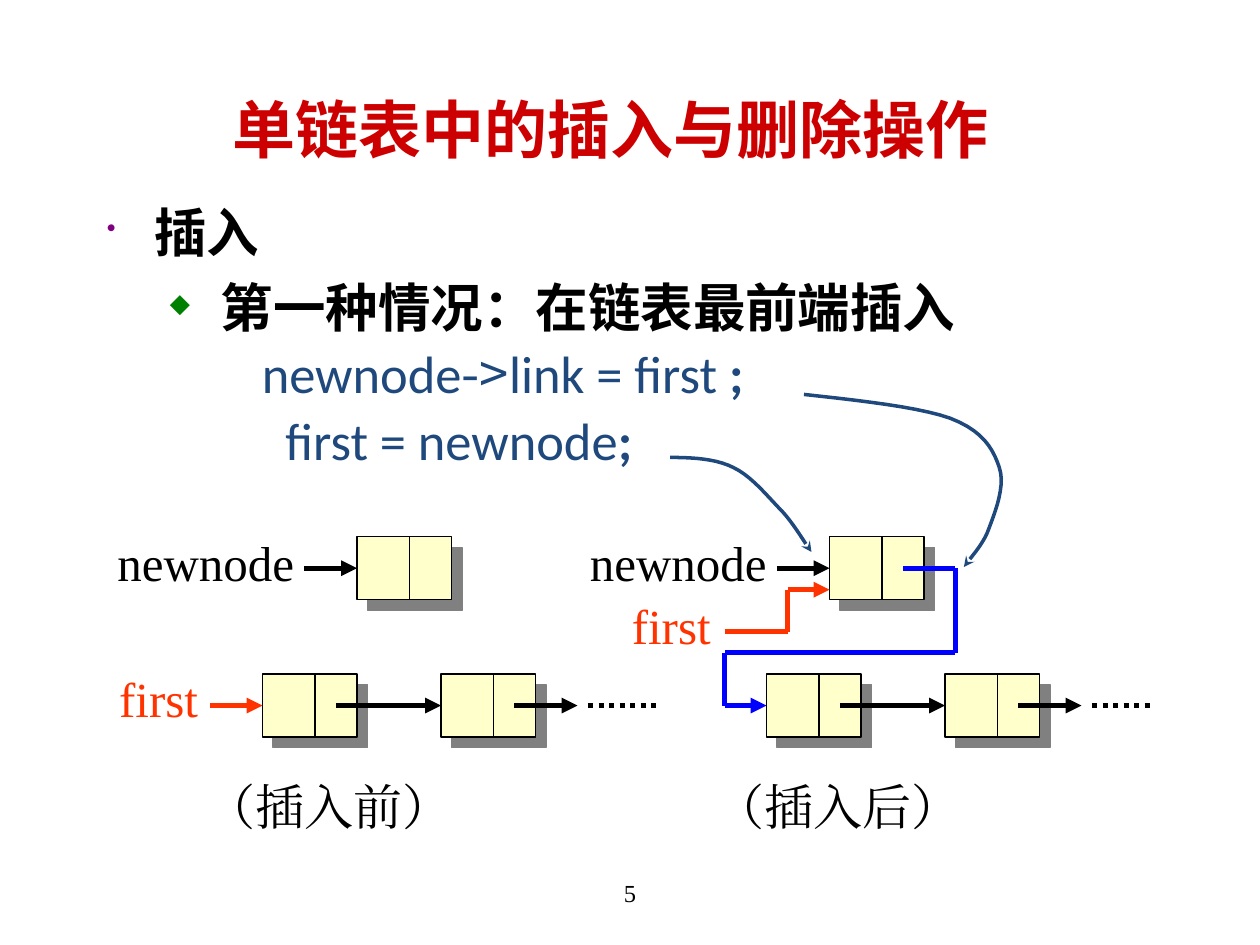
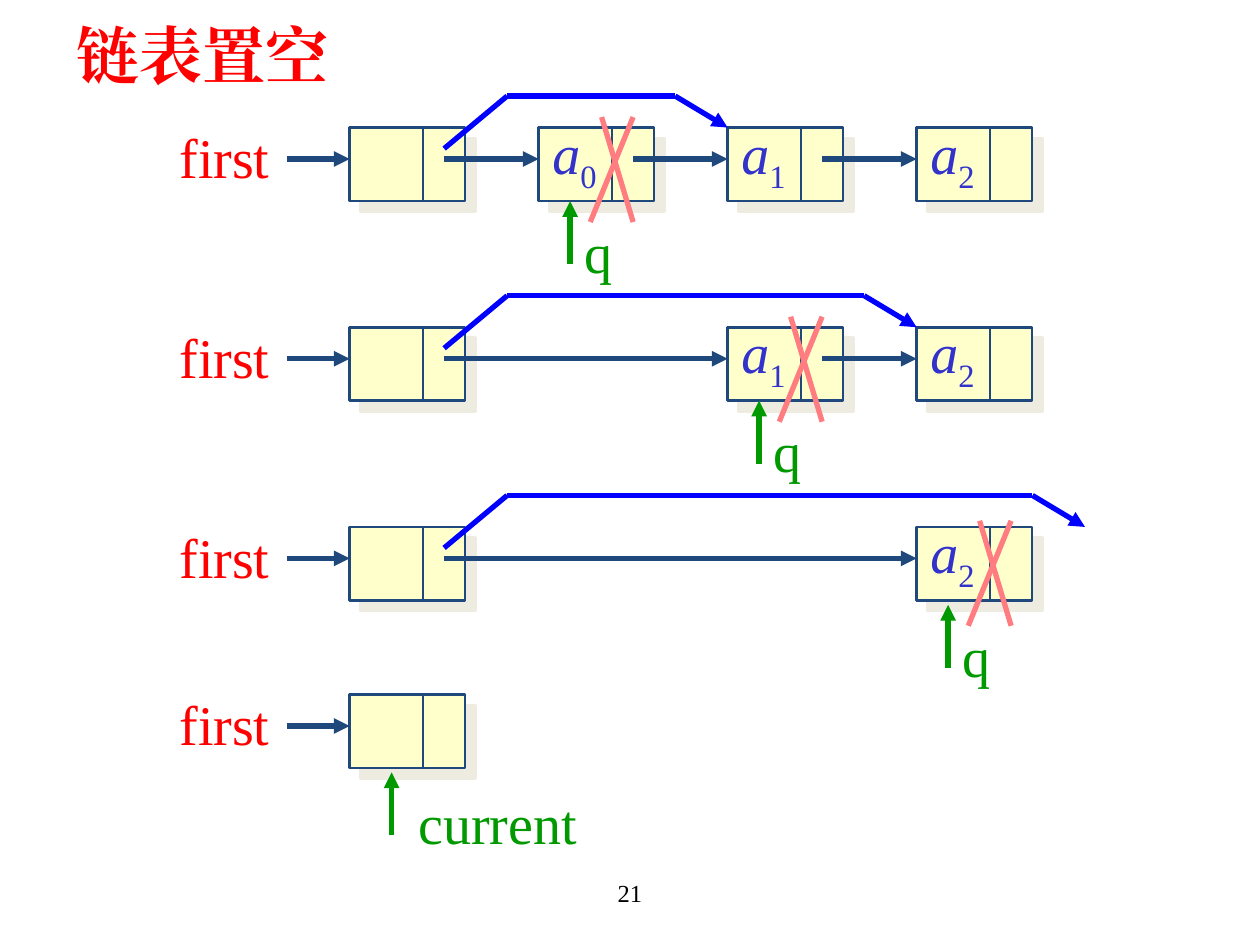
from dataclasses import dataclass

from lxml import etree
from pptx import Presentation
from pptx.dml.color import RGBColor
from pptx.enum.dml import MSO_LINE
from pptx.enum.shapes import MSO_CONNECTOR, MSO_SHAPE
from pptx.enum.text import MSO_ANCHOR, PP_ALIGN
from pptx.oxml.ns import qn
from pptx.util import Pt

STRAIGHT = MSO_CONNECTOR.STRAIGHT
RECTANGLE = MSO_SHAPE.RECTANGLE
ROUND_DOT = MSO_LINE.ROUND_DOT
TOP, MIDDLE = MSO_ANCHOR.TOP, MSO_ANCHOR.MIDDLE
LEFT, CENTER = PP_ALIGN.LEFT, PP_ALIGN.CENTER


@dataclass(frozen=True)
class Theme:
    # Colours
    black: str = "000000"
    title: str = "CC0000"
    red: str = "FF0000"
    orange: str = "FF3300"
    blue: str = "0000FF"
    navy: str = "1F497D"
    green: str = "009900"
    value: str = "3333CC"
    cross: str = "FF7C80"
    node: str = "FFFFCC"
    gray_shadow: str = "808080"
    pale_shadow: str = "EEECE1"
    bullet: str = "800080"
    sub_bullet: str = "008000"
    # Fonts and sizes
    sans: str = "Calibri"
    serif: str = "Times New Roman"
    chinese: str = "Noto Sans CJK SC"
    title_size: float = 36
    body_size: float = 30
    label_size: float = 28
    value_size: float = 32
    number_size: float = 14
    # Strokes
    arrow_width: float = 3
    curve_width: float = 2


THEME = Theme()


@dataclass(frozen=True)
class NodeStyle:
    width: float
    height: float
    divider: float
    line: str
    line_width: float
    shadow: str


SMALL_NODE = NodeStyle(54, 36, 30, THEME.black, 0.75, THEME.gray_shadow)
LARGE_NODE = NodeStyle(66, 42, 42, THEME.navy, 1.5, THEME.pale_shadow)


# ---- Text ----

def add_xml(parent, tag, **attributes):
    return etree.SubElement(parent, qn(tag), attributes)


def style_paragraph(paragraph, size, color, font=THEME.serif, bold=False):
    paragraph.font.size = Pt(size)
    paragraph.font.bold = bold
    paragraph.font.color.rgb = RGBColor.from_string(color)
    paragraph.font.name = font
    defaults = paragraph._p.pPr.find(qn("a:defRPr"))
    add_xml(defaults, "a:ea", typeface=font)


def add_text(slide, text, box, size, color, font=THEME.serif, bold=False,
             align=LEFT, anchor=TOP, wrap=False):
    shape = slide.shapes.add_textbox(*map(Pt, box))
    frame = shape.text_frame
    frame.word_wrap = wrap
    frame.vertical_anchor = anchor
    paragraph = frame.paragraphs[0]
    paragraph.alignment = align
    style_paragraph(paragraph, size, color, font, bold)
    if text:
        paragraph.add_run().text = text
    return paragraph


def add_page_number(slide, number):
    add_text(slide, number, (246, 492, 228, 36), THEME.number_size,
             THEME.black, align=CENTER, anchor=MIDDLE)


def add_label(slide, text, box, color):
    return add_text(slide, text, box, THEME.value_size, color,
                    align=CENTER, anchor=MIDDLE)


def set_indent(paragraph, margin, first=0):
    properties = paragraph._p.get_or_add_pPr()
    properties.set("marL", str(Pt(margin)))
    properties.set("indent", str(Pt(first)))


def set_bullet(paragraph, character, color):
    defaults = paragraph._p.pPr.find(qn("a:defRPr"))
    bullet_color = etree.Element(qn("a:buClr"))
    add_xml(bullet_color, "a:srgbClr", val=color)
    defaults.addprevious(bullet_color)
    for tag, value in (("a:buSzPct", {"val": "50000"}),
                       ("a:buChar", {"char": character})):
        defaults.addprevious(etree.Element(qn(tag), value))


# ---- Lines ----

def set_arrowhead(shape, kind):
    add_xml(shape.element.spPr.find(qn("a:ln")), "a:tailEnd", type=kind)


def add_line(slide, start, end, color, width=THEME.arrow_width, arrow=False,
             dotted=False):
    line = slide.shapes.add_connector(STRAIGHT, *map(Pt, (*start, *end)))
    line.line.color.rgb = RGBColor.from_string(color)
    line.line.width = Pt(width)
    if dotted:
        line.line.dash_style = ROUND_DOT
    if arrow:
        set_arrowhead(line, "triangle")
    add_xml(line.element.spPr, "a:effectLst")


def add_route(slide, points, color):
    """Join the points with lines; the last one carries an arrowhead."""
    last = len(points) - 2
    for index, (start, end) in enumerate(zip(points, points[1:])):
        add_line(slide, start, end, color, arrow=index == last)


def curve_points(start, curves, steps=10):
    points = [start]
    for control_1, control_2, end in curves:
        start = points[-1]
        for step in range(1, steps + 1):
            t = step / steps
            weights = ((1 - t) ** 3, 3 * t * (1 - t) ** 2,
                       3 * t * t * (1 - t), t ** 3)
            corners = (start, control_1, control_2, end)
            points.append(tuple(
                sum(weight * corner[axis]
                    for weight, corner in zip(weights, corners))
                for axis in (0, 1)))
    return points


def add_curve(slide, start, curves):
    points = [(Pt(x), Pt(y)) for x, y in curve_points(start, curves)]
    builder = slide.shapes.build_freeform(*points[0])
    builder.add_line_segments(points[1:], close=False)
    shape = builder.convert_to_shape()
    shape.shadow.inherit = False
    shape.fill.background()
    shape.line.color.rgb = RGBColor.from_string(THEME.navy)
    shape.line.width = Pt(THEME.curve_width)
    set_arrowhead(shape, "stealth")


# ---- List nodes ----

def add_node(slide, x, y, style):
    shape = slide.shapes.add_shape(
        RECTANGLE, *map(Pt, (x, y, style.width, style.height)))
    shape.fill.solid()
    shape.fill.fore_color.rgb = RGBColor.from_string(THEME.node)
    shape.line.color.rgb = RGBColor.from_string(style.line)
    shape.line.width = Pt(style.line_width)
    shape.shadow.inherit = False
    shadow = add_xml(shape.element.spPr.find(qn("a:effectLst")),
                     "a:outerShdw", dist=str(Pt(8.5)), dir="2700000",
                     algn="ctr", rotWithShape="0")
    add_xml(shadow, "a:srgbClr", val=style.shadow)
    middle = x + style.divider
    add_line(slide, (middle, y), (middle, y + style.height), style.line,
             style.line_width)


def add_new_node(slide, x):
    y = 306.7
    add_node(slide, x, y, SMALL_NODE)
    add_line(slide, (x - 30, y + 18), (x, y + 18), THEME.black, arrow=True)
    add_text(slide, "newnode", (x - 144, y - 6, 120, 41), THEME.label_size,
             THEME.black)


def add_chain(slide, x, dots_end):
    y = 385.2
    middle = y + 18
    for node_x, link_end in ((x, x + 102), (x + 102, x + 180)):
        add_node(slide, node_x, y, SMALL_NODE)
        add_line(slide, (node_x + 42, middle), (link_end, middle),
                 THEME.black, arrow=True)
    add_line(slide, (x + 186, middle), (dots_end, middle), THEME.black,
             dotted=True)


def add_value_node(slide, x, y, index):
    add_node(slide, x, y, LARGE_NODE)
    paragraph = add_label(slide, "", (x, y - 6, 41, 45), THEME.value)
    letter, subscript = paragraph.add_run(), paragraph.add_run()
    letter.text, subscript.text = "a", str(index)
    letter.font.italic = True
    subscript._r.get_or_add_rPr().set("baseline", "-25000")


def add_head(slide, x, y):
    add_node(slide, x, y, LARGE_NODE)
    add_line(slide, (x - 36, y + 18), (x, y + 18), THEME.navy, arrow=True)
    add_label(slide, "first", (x - 107, y - 6, 71, 45), THEME.red)


def add_pointer(slide, x, y):
    """Green arrow pointing up to (x, y)."""
    add_line(slide, (x, y + 36), (x, y), THEME.green, arrow=True)


def add_removal(slide, x, y, gap):
    add_pointer(slide, x + 18, y + 42 + gap)
    add_label(slide, "q", (x + 18, y + 48 + gap, 32, 45), THEME.green)
    for top, bottom in ((54, 29.5), (36, 54)):
        add_line(slide, (x + top, y - 6 + gap), (x + bottom, y + 54 + gap),
                 THEME.cross)


# ---- Slides ----

def add_insertion_text(slide):
    first = add_text(slide, "", (54, 110.2, 636, 185), THEME.body_size,
                     THEME.black, THEME.sans, True, wrap=True)
    frame = slide.shapes[-1].text_frame
    sans, chinese = THEME.sans, THEME.chinese
    # Runs (text, font, bold), colour, margin, first indent, space, bullet
    rows = (
        ([("插入", sans, True)], THEME.black, 27, -27, 0,
         ("•", THEME.bullet)),
        ([("第一种情况：在链表最前端插入", sans, True)], THEME.black, 65, -29, 6,
         ("◆", THEME.sub_bullet)),
        ([("newnode", sans, False), ("->", chinese, False),
          ("link = first ", sans, False), (";", sans, True)],
         THEME.navy, 88.5, 0, 1.5, None),
        ([("first = newnode", sans, False), (";", sans, True)],
         THEME.navy, 102, 0, 1.5, None),
    )
    for index, (runs, color, margin, indent, space, bullet) in enumerate(rows):
        paragraph = first
        if index:
            paragraph = frame.add_paragraph()
            style_paragraph(paragraph, THEME.body_size, color, sans,
                            runs[0][2])
        set_indent(paragraph, margin, indent)
        paragraph.line_spacing = Pt(36.6)
        paragraph.space_before = Pt(space)
        if bullet:
            set_bullet(paragraph, *bullet)
        for text, font, bold in runs:
            run = paragraph.add_run()
            run.text = text
            if font != sans:
                run.font.name = font
            if bold != runs[0][2]:
                run.font.bold = bold


def build_insertion_slide(slide):
    add_text(slide, "单链表中的插入与删除操作", (77, 38, 544, 71),
             THEME.title_size, THEME.title, THEME.sans, True, CENTER, MIDDLE,
             wrap=True)
    add_insertion_text(slide)
    add_page_number(slide, "5")
    for text, x in (("（插入前）", 111), ("（插入后）", 402)):
        add_text(slide, text, (x, 440, 160, 41), THEME.label_size, THEME.black)

    # Before and after
    for new_x, chain_x, dots_end in ((204, 150, 378), (474, 438, 660)):
        add_new_node(slide, new_x)
        add_chain(slide, chain_x, dots_end)
    for x, y in ((61, 378.7), (354, 337)):
        add_text(slide, "first", (x, y, 65, 41), THEME.label_size,
                 THEME.orange)

    # Links to and from the new node
    add_line(slide, (120, 403.2), (150, 403.2), THEME.orange, arrow=True)
    add_route(slide, [(414, 361), (450, 361), (450, 337), (474, 337)],
              THEME.orange)
    add_route(slide, [(516, 324.7), (546, 324.7), (546, 373), (414, 373),
                      (414, 403.2), (438, 403.2)], THEME.blue)

    # Curves from the statements to the links
    add_curve(slide, (459.4, 225.4), [
        ((491.8, 229), (524.9, 232.6), (542.9, 239)),
        ((561.6, 246.2), (567.4, 256.3), (571, 267.1)),
        ((574.6, 277.2), (568.8, 292.3), (565.2, 301.7)),
        ((562.3, 311), (553, 320.4), (550.8, 324))])
    add_curve(slide, (383, 261.4), [
        ((396, 261.4), (409, 262.1), (419, 267.1)),
        ((429.8, 272.2), (439.2, 284.4), (447.1, 292.3)),
        ((454.3, 300.2), (460.8, 311.8), (463.7, 315.4))])


def build_clearing_slide(slide):
    add_text(slide, "链表置空", (36.7, 5.8, 223, 51), THEME.title_size,
             THEME.red, bold=True, wrap=True)
    add_page_number(slide, "21")
    head_x, pitch, top, row_pitch = 199.8, 108, 72.9, 114.1
    columns = [head_x + pitch * (index + 1) for index in range(3)]
    bypass_ends = (columns[1], columns[2], 620)

    # Each row removes the first remaining node
    for row, bypass_end in enumerate(bypass_ends):
        y = top + row * row_pitch
        add_head(slide, head_x, y)
        previous = head_x
        for index in range(row, 3):
            add_value_node(slide, columns[index], y, index)
            add_line(slide, (previous + 54, y + 18), (columns[index], y + 18),
                     THEME.navy, arrow=True)
            previous = columns[index]
        add_route(slide, [(head_x + 54, y + 12), (head_x + 90, y - 18),
                          (bypass_end - 30, y - 18), (bypass_end, y)],
                  THEME.blue)
        add_removal(slide, columns[row], y, gap=2.5 if row == 2 else 0)

    # Empty list
    y = 396.9
    add_head(slide, head_x, y)
    add_pointer(slide, head_x + 24, y + 44.5)
    add_label(slide, "current", (226, 447, 117, 45), THEME.green)


def main():
    presentation = Presentation()
    presentation.slide_width, presentation.slide_height = Pt(720), Pt(540)
    blank = presentation.slide_layouts[6]
    for build in (build_insertion_slide, build_clearing_slide):
        build(presentation.slides.add_slide(blank))
    presentation.save("out.pptx")


main()
